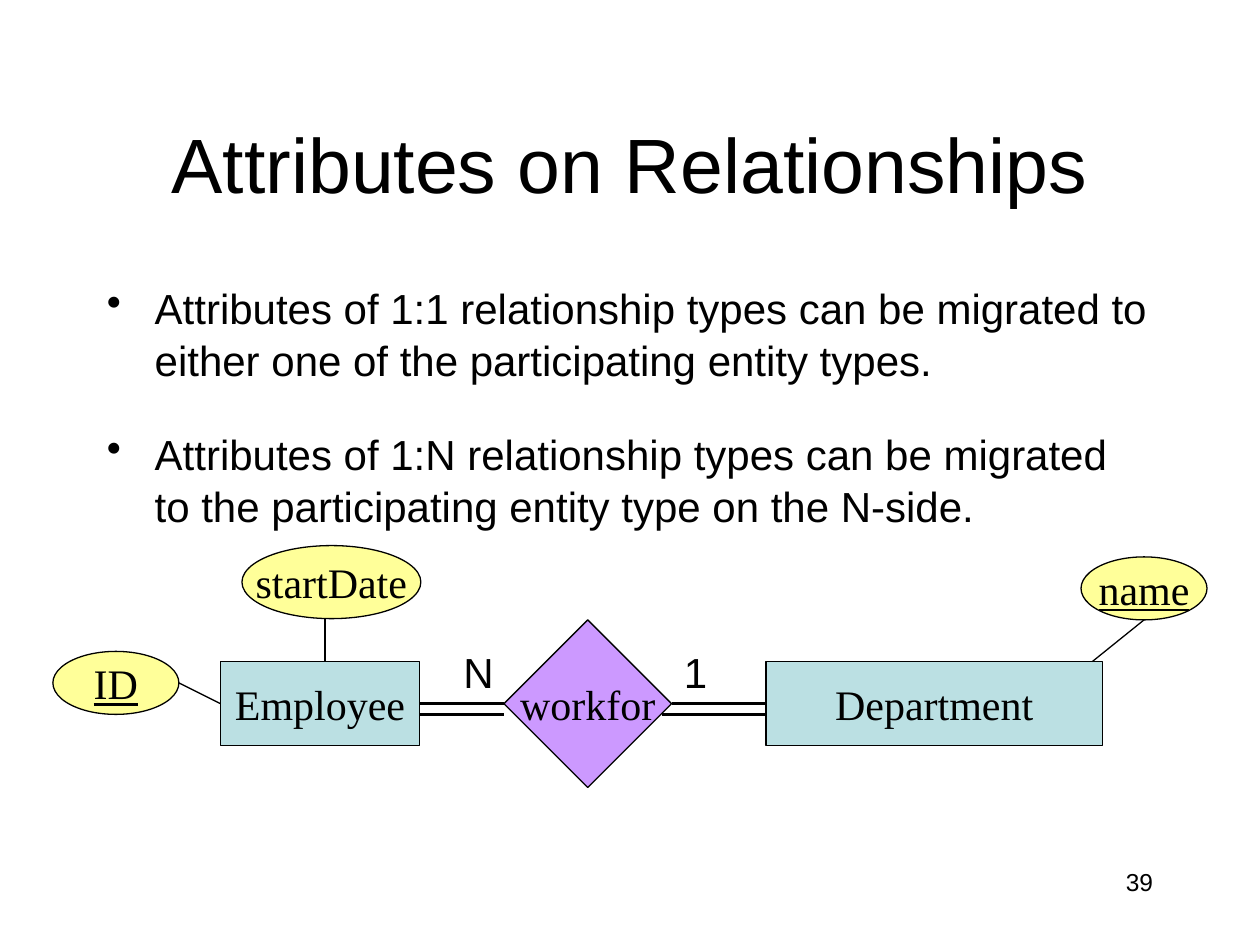
from lxml import etree
from pptx import Presentation
from pptx.dml.color import RGBColor
from pptx.enum.shapes import MSO_CONNECTOR, MSO_SHAPE
from pptx.enum.text import MSO_ANCHOR, PP_ALIGN
from pptx.oxml.ns import qn
from pptx.util import Inches, Pt

RECTANGLE, DIAMOND, OVAL = MSO_SHAPE.RECTANGLE, MSO_SHAPE.DIAMOND, MSO_SHAPE.OVAL
STRAIGHT = MSO_CONNECTOR.STRAIGHT
MIDDLE, TOP_ANCHOR = MSO_ANCHOR.MIDDLE, MSO_ANCHOR.TOP
CENTER, LEFT_ALIGN, RIGHT_ALIGN = PP_ALIGN.CENTER, PP_ALIGN.LEFT, PP_ALIGN.RIGHT
LEFT_SIDE, RIGHT_SIDE = 1, 3

COLORS = {
    "ink": "000000",
    "entity": "BBE0E3",
    "relationship": "CC99FF",
    "attribute": "FFFF99",
}
SANS, SERIF = "Arial", "Times New Roman"
RULES = [
    "Attributes of 1:1 relationship types can be migrated to either one of "
    "the participating entity types.",
    "Attributes of 1:N relationship types can be migrated to the participating "
    "entity type on the N-side.",
]


def color(name):
    return RGBColor.from_string(COLORS[name])


def style(paragraph, size, face=SANS, align=LEFT_ALIGN):
    paragraph.alignment = align
    paragraph.font.size = Pt(size)
    paragraph.font.name = face
    paragraph.font.color.rgb = color("ink")


def add_text(slide, box, text, size, align=LEFT_ALIGN):
    frame = slide.shapes.add_textbox(*map(Inches, box)).text_frame
    frame.word_wrap = True
    frame.text = text
    style(frame.paragraphs[0], size, align=align)


def add_title(slide, box):
    title = slide.shapes.title
    title.left, title.top, title.width, title.height = map(Inches, box)
    title.text_frame.text = "Attributes on Relationships"
    title.text_frame.vertical_anchor = MIDDLE
    style(title.text_frame.paragraphs[0], 44, align=CENTER)


def add_rules(slide, box):
    frame = slide.shapes.add_textbox(*map(Inches, box)).text_frame
    frame.word_wrap = True
    frame.vertical_anchor = TOP_ANCHOR
    for index, rule in enumerate(RULES):
        paragraph = frame.add_paragraph() if index else frame.paragraphs[0]
        paragraph.text = rule
        paragraph.line_spacing = 1.05
        paragraph.space_before = Pt(23 if index else 0)
        properties = paragraph._p.get_or_add_pPr()
        properties.set("marL", str(Inches(0.38)))
        properties.set("indent", str(-Inches(0.38)))
        etree.SubElement(properties, qn("a:buChar")).set("char", "•")
        style(paragraph, 24)


def add_node(slide, kind, box, label, fill, underline=False):
    node = slide.shapes.add_shape(kind, *map(Inches, box))
    node.shadow.inherit = False
    node.fill.solid()
    node.fill.fore_color.rgb = color(fill)
    node.line.color.rgb = color("ink")
    node.line.width = Pt(0.75)
    frame = node.text_frame
    frame.word_wrap = False
    frame.vertical_anchor = MIDDLE
    frame.text = label
    style(frame.paragraphs[0], 24, SERIF, CENTER)
    if underline:
        frame.paragraphs[0].font.underline = True
    return node


def add_link(slide, start, end, weight=0.75):
    link = slide.shapes.add_connector(STRAIGHT, *map(Inches, start + end))
    link.line.color.rgb = color("ink")
    link.line.width = Pt(weight)
    etree.SubElement(link._element.spPr, qn("a:effectLst"))
    return link


def add_er_diagram(slide, left, top):
    def at(x, y, *size):
        return (left + x, top + y, *size)

    employee = add_node(slide, RECTANGLE, at(1.33, 0.92, 1.58, 0.67), "Employee", "entity")
    department = add_node(slide, RECTANGLE, at(5.66, 0.92, 2.67, 0.67), "Department", "entity")
    works_for = add_node(slide, DIAMOND, at(3.58, 0.59, 1.33, 1.33), "workfor", "relationship")

    participations = [
        (employee, works_for, 2.91, 3.58, 2.91),
        (works_for, department, 4.91, 5.66, 4.83),
    ]
    for source, target, start, end, lower_start in participations:
        upper = add_link(slide, at(start, 1.25), at(end, 1.25), 1.5)
        upper.begin_connect(source, RIGHT_SIDE)
        upper.end_connect(target, LEFT_SIDE)
        add_link(slide, at(lower_start, 1.34), at(end, 1.34), 1.5)

    for x, cardinality in ((3.16, "N"), (4.91, "1")):
        add_text(slide, at(x, 0.75, 0.33, 0.5), cardinality, 24)

    attributes = [
        ("name", (8.16, 0.09, 1, 0.5), True, (8.66, 0.59), (8.25, 0.92)),
        ("ID", (0, 0.84, 1, 0.5), True, (1, 1.09), (1.33, 1.25)),
        ("startDate", (1.5, 0, 1.42, 0.58), False, (2.16, 0.58), (2.16, 0.92)),
    ]
    for label, box, is_key, start, end in attributes:
        add_node(slide, OVAL, at(*box), label, "attribute", is_key)
        link = add_link(slide, at(*start), at(*end))
        if label == "ID":
            link.end_connect(employee, LEFT_SIDE)


def main():
    deck = Presentation()
    deck.slide_width, deck.slide_height = Inches(10), Inches(7.5)
    slide = deck.slides.add_slide(deck.slide_layouts[5])
    add_title(slide, (0.75, 0.67, 8.5, 1.25))
    add_rules(slide, (0.75, 2.17, 8.5, 4.5))
    add_text(slide, (7.17, 6.83, 2.08, 0.5), "39", 14, RIGHT_ALIGN)
    add_er_diagram(slide, 0.42, 4.33)
    deck.save("out.pptx")


if __name__ == "__main__":
    main()
